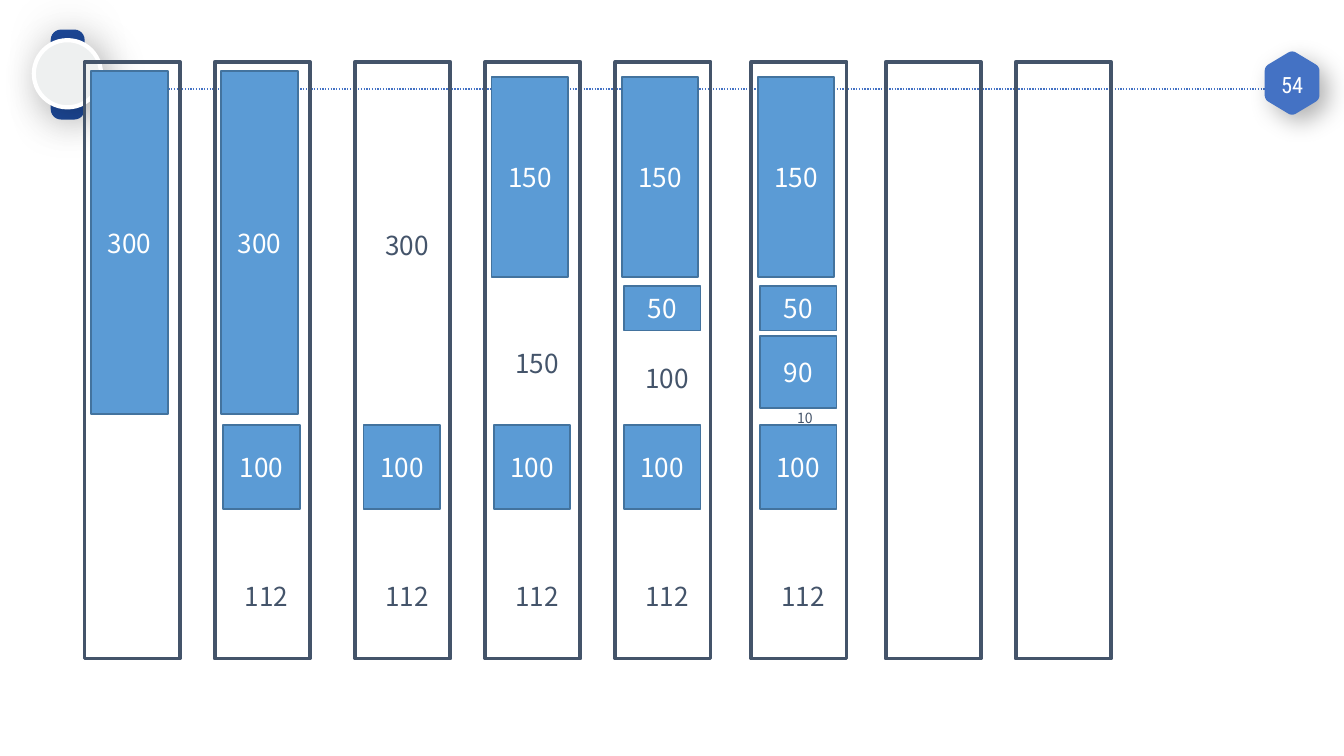
from lxml.etree import SubElement
from pptx import Presentation
from pptx.dml.color import RGBColor
from pptx.enum.dml import MSO_LINE
from pptx.enum.shapes import MSO_CONNECTOR, MSO_SHAPE
from pptx.enum.text import MSO_ANCHOR, MSO_AUTO_SIZE, PP_ALIGN
from pptx.oxml.ns import qn
from pptx.util import Cm, Pt


class Theme:
    ink = RGBColor(0x44, 0x54, 0x6A)
    block = RGBColor(0x5B, 0x9B, 0xD5)
    block_edge = RGBColor(0x43, 0x73, 0x9E)
    accent = RGBColor(0x44, 0x72, 0xC4)
    strap = RGBColor(0x1D, 0x49, 0x99)
    dial = RGBColor(0xEE, 0xF0, 0xF0)
    white = RGBColor(0xFF, 0xFF, 0xFF)
    body_font, badge_font = "Noto Sans CJK SC", "Roboto Condensed"
    body, small, badge = 14, 7.5, 12


PAGE_NUMBER = "54"

# Allocated blocks: text, offset from the column, top, height (cm)
USED_300 = ("300", 0.12, 1.35, 6.48)
USED_150 = ("150", 0.12, 1.45, 3.78)
USED_50 = ("50", 0.16, 5.41, 0.84)
USED_90 = ("90", 0.16, 6.35, 1.37)
USED_100 = ("100", 0.16, 8.03, 1.6)

# Free space: text, top (cm), type size
FREE_112 = ("112", 10.85, Theme.body)
FREE_300 = ("300", 4.22, Theme.body)
FREE_150 = ("150", 6.45, Theme.body)
FREE_100 = ("100", 6.73, Theme.body)
FREE_10 = ("10", 7.62, Theme.small)

# Memory states: left edge (cm), allocated blocks, free space
COLUMNS = [
    (1.6, [USED_300], []),
    (4.06, [USED_300, USED_100], [FREE_112]),
    (6.71, [USED_100], [FREE_112, FREE_300]),
    (9.17, [USED_100, USED_150], [FREE_112, FREE_150]),
    (11.63, [USED_100, USED_150, USED_50], [FREE_112, FREE_100]),
    (14.2, [USED_100, USED_150, USED_50, USED_90], [FREE_112, FREE_10]),
    (16.74, [], []),
    (19.2, [], []),
]
COLUMN_TOP, COLUMN_WIDTH, COLUMN_HEIGHT = 1.17, 1.8, 11.28
BLOCK_WIDTH = 1.45
LABEL_SIZES = {Theme.body: (1.4, 0.86), Theme.small: (0.81, 0.58)}

BADGE_CENTER = (24.42, 1.57)
BADGE_CORNERS = [(0, -0.6), (0.5, -0.3), (0.5, 0.3), (0, 0.6), (-0.5, 0.3), (-0.5, -0.3)]


def paint(shape, fill=None, line=None, weight=1):
    shape.shadow.inherit = False
    if fill is None:
        shape.fill.background()
    else:
        shape.fill.solid()
        shape.fill.fore_color.rgb = fill
    if line is None:
        shape.line.fill.background()
    else:
        shape.line.color.rgb = line
        shape.line.width = Pt(weight)


def add_shadow(shape, opacity, blur, distance):
    """Cast a black shadow to the lower right; lengths in points."""
    effects = shape._element.spPr.find(qn("a:effectLst"))
    shadow = SubElement(effects, qn("a:outerShdw"), blurRad=str(Pt(blur)),
                        dist=str(Pt(distance)), dir="2700000", algn="ctr", rotWithShape="0")
    color = SubElement(shadow, qn("a:srgbClr"), val="000000")
    SubElement(color, qn("a:alpha"), val=str(opacity * 1000))


def add_figure(page, kind, left, top, width, height, **look):
    shape = page.shapes.add_shape(kind, Cm(left), Cm(top), Cm(width), Cm(height))
    paint(shape, **look)
    return shape


def write(box, text, size, color, font=Theme.body_font, align=PP_ALIGN.CENTER):
    paragraph = box.text_frame.paragraphs[0]
    paragraph.text = text
    paragraph.alignment = align
    paragraph.font.size = Pt(size)
    paragraph.font.name = font
    paragraph.font.color.rgb = color


def add_block(page, column_left, text, offset, top, height):
    block = add_figure(page, MSO_SHAPE.RECTANGLE, column_left + offset, top, BLOCK_WIDTH, height,
                       fill=Theme.block, line=Theme.block_edge)
    block.text_frame.vertical_anchor = MSO_ANCHOR.MIDDLE
    write(block, text, Theme.body, Theme.white)


def add_label(page, column_left, text, top, size):
    width, height = LABEL_SIZES[size]
    left = column_left + 0.12 + (COLUMN_WIDTH - width) / 2
    box = page.shapes.add_textbox(Cm(left), Cm(top), Cm(width), Cm(height))
    box.text_frame.word_wrap = False
    box.text_frame.auto_size = MSO_AUTO_SIZE.SHAPE_TO_FIT_TEXT
    write(box, text, size, Theme.ink, align=PP_ALIGN.LEFT)


def rounded(corners, cut=0.13, steps=6):
    """Replace each corner by points on a quadratic curve."""
    points = []
    for index, (x, y) in enumerate(corners):
        before, after = corners[index - 1], corners[(index + 1) % len(corners)]
        for step in range(steps + 1):
            t = step / steps
            back, ahead = cut * (1 - t) ** 2, cut * t ** 2
            points.append((x + back * (before[0] - x) + ahead * (after[0] - x),
                           y + back * (before[1] - y) + ahead * (after[1] - y)))
    return points


def add_header_line(page):
    rule = page.shapes.add_connector(MSO_CONNECTOR.STRAIGHT, Cm(0.84), Cm(1.68), Cm(23.95), Cm(1.68))
    rule.line.color.rgb = Theme.accent
    rule.line.width = Pt(0.75)
    rule.line.dash_style = MSO_LINE.ROUND_DOT
    SubElement(rule._element.spPr, qn("a:effectLst"))


def add_badge(page):
    center_x, center_y = BADGE_CENTER
    points = [(Cm(center_x + x), Cm(center_y + y)) for x, y in rounded(BADGE_CORNERS)]
    builder = page.shapes.build_freeform(*points[0])
    builder.add_line_segments(points[1:], close=True)
    badge = builder.convert_to_shape()
    paint(badge, fill=Theme.accent, line=Theme.accent)
    add_shadow(badge, 30, 13, 6)

    box = page.shapes.add_textbox(Cm(center_x - 0.5), Cm(center_y - 0.3), Cm(1), Cm(0.64))
    frame = box.text_frame
    frame.word_wrap = True
    frame.vertical_anchor = MSO_ANCHOR.MIDDLE
    frame.margin_left = frame.margin_right = Cm(0.18)
    frame.margin_top = frame.margin_bottom = Cm(0.1)
    write(box, PAGE_NUMBER, Theme.badge, Theme.white, Theme.badge_font)


def add_watch(page):
    strap = add_figure(page, MSO_SHAPE.ROUNDED_RECTANGLE, 0.96, 0.56, 0.64, 1.7, fill=Theme.strap)
    strap.adjustments[0] = 0.3
    add_shadow(strap, 17, 27, 0)
    dial = add_figure(page, MSO_SHAPE.OVAL, 0.64, 0.76, 1.27, 1.27,
                      fill=Theme.dial, line=Theme.white, weight=2.25)
    add_shadow(dial, 28, 22, 6)


def main():
    deck = Presentation()
    deck.slide_width, deck.slide_height = Cm(25.4), Cm(14.29)
    page = deck.slides.add_slide(deck.slide_layouts[6])

    add_header_line(page)
    add_badge(page)
    add_watch(page)
    for left, blocks, labels in COLUMNS:
        add_figure(page, MSO_SHAPE.RECTANGLE, left, COLUMN_TOP, COLUMN_WIDTH, COLUMN_HEIGHT,
                   line=Theme.ink, weight=2)
        for block in blocks:
            add_block(page, left, *block)
        for label in labels:
            add_label(page, left, *label)

    deck.save("out.pptx")


if __name__ == "__main__":
    main()
